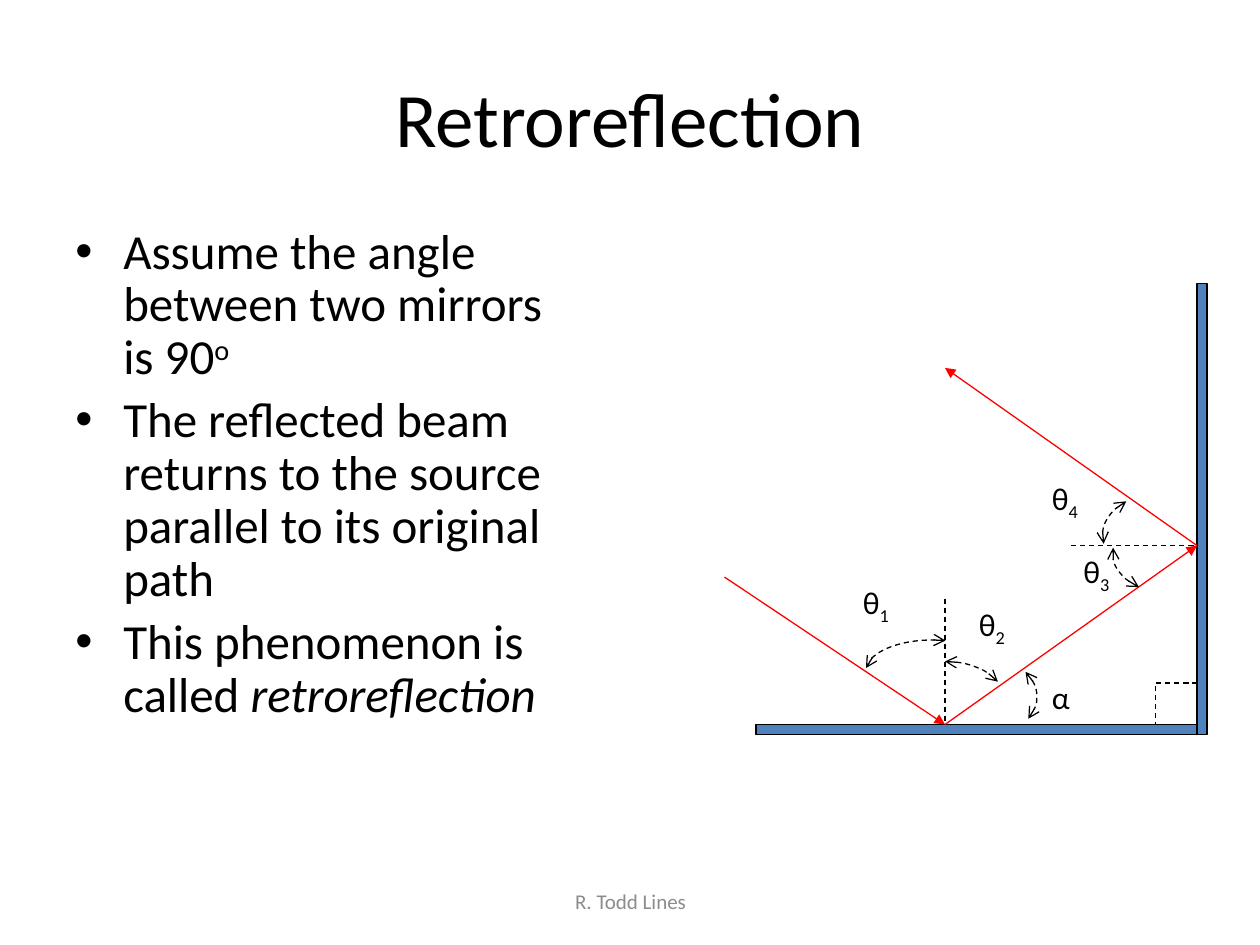
"""Build a slide on retroreflection between two perpendicular mirrors."""
from lxml import etree
from pptx import Presentation
from pptx import util as u
from pptx.dml.color import RGBColor
from pptx.enum import dml, shapes, text
from pptx.oxml.ns import qn

BLACK = RGBColor(0x00, 0x00, 0x00)
GRAY = RGBColor(0x8C, 0x8C, 0x8C)
RED = RGBColor(0xFF, 0x00, 0x00)
BLUE = RGBColor(0x4F, 0x81, 0xBD)
SUPERSCRIPT, SUBSCRIPT = 30000, -25000
INDENT = 0.38


class SlideBuilder:
    """Hold the shared style and the slide being drawn."""

    font = "Calibri"
    line_width = u.Pt(0.75)

    def __init__(self, slide):
        self.slide = slide

    def apply(self, target, formats):
        for name, value in formats.items():
            setattr(target, name, value)

    def lengths(self, *values):
        return [u.Inches(value) for value in values]

    def add_runs(self, paragraph, runs, size, color=BLACK):
        for content, formats in runs:
            run = paragraph.add_run()
            run.text = content
            formats = dict(formats)
            baseline = formats.pop("baseline", None)
            self.apply(run.font, {"name": self.font, "size": u.Pt(size), **formats})
            run.font.color.rgb = color
            if baseline:
                run._r.get_or_add_rPr().set("baseline", str(baseline))

    def title(self, content, box, size):
        shape = self.slide.shapes.title
        self.apply(shape, dict(zip(("left", "top", "width", "height"), self.lengths(*box))))
        shape.text_frame.vertical_anchor = text.MSO_ANCHOR.MIDDLE
        paragraph = shape.text_frame.paragraphs[0]
        paragraph.alignment = text.PP_ALIGN.CENTER
        self.add_runs(paragraph, [(content, {})], size)

    def text_box(self, box, **formats):
        frame = self.slide.shapes.add_textbox(*self.lengths(*box)).text_frame
        self.apply(frame, {"word_wrap": True, **formats})
        return frame

    def footer(self, content, box):
        frame = self.text_box(box, vertical_anchor=text.MSO_ANCHOR.MIDDLE)
        paragraph = frame.paragraphs[0]
        paragraph.alignment = text.PP_ALIGN.CENTER
        self.add_runs(paragraph, [(content, {})], 12, GRAY)

    def bullets(self, items, box, size):
        frame = self.text_box(box)
        for index, runs in enumerate(items):
            paragraph = frame.add_paragraph() if index else frame.paragraphs[0]
            properties = paragraph._p.get_or_add_pPr()
            properties.set("marL", str(u.Inches(INDENT)))
            properties.set("indent", str(-u.Inches(INDENT)))
            etree.SubElement(properties, qn("a:buFont"), typeface="Arial")
            etree.SubElement(properties, qn("a:buChar"), char="•")
            paragraph.line_spacing = 0.9
            if index:
                paragraph.space_before = u.Pt(0.2 * size)
            self.add_runs(paragraph, runs, size)

    def label(self, left, top, symbol, subscript="", width=0.42):
        frame = self.text_box((left, top, width, 0.4), word_wrap=False,
                              auto_size=text.MSO_AUTO_SIZE.SHAPE_TO_FIT_TEXT)
        runs = [(symbol, {})]
        if subscript:
            runs.append((subscript, {"baseline": SUBSCRIPT}))
        self.add_runs(frame.paragraphs[0], runs, 18)

    def outline(self, line, color=BLACK, dashed=False, **arrowheads):
        line.color.rgb = color
        line.width = self.line_width
        if dashed:
            line.dash_style = dml.MSO_LINE.DASH
        for end, kind in arrowheads.items():
            etree.SubElement(line._get_or_add_ln(), qn(f"a:{end}"), type=kind)

    def shape(self, kind, box, fill=None, **line_formats):
        shape = self.slide.shapes.add_shape(kind, *self.lengths(*box))
        shape.shadow.inherit = False
        if fill is None:
            shape.fill.background()
        else:
            shape.fill.solid()
            shape.fill.fore_color.rgb = fill
        self.outline(shape.line, **line_formats)
        return shape

    def rectangle(self, box, **formats):
        self.shape(shapes.MSO_SHAPE.RECTANGLE, box, **formats)

    def angle_arc(self, center, radii, start, end):
        (x, y), (rx, ry) = center, radii
        arc = self.shape(shapes.MSO_SHAPE.ARC, (x - rx, y - ry, 2 * rx, 2 * ry),
                         dashed=True, headEnd="arrow", tailEnd="arrow")
        for index, degrees in enumerate((start, end)):
            arc.adjustments[index] = degrees * 0.6

    def line(self, start, end, **line_formats):
        connector = self.slide.shapes.add_connector(
            shapes.MSO_CONNECTOR.STRAIGHT, *self.lengths(*start, *end))
        self.outline(connector.line, **line_formats)
        etree.SubElement(connector._element.spPr, qn("a:effectLst"))


def main():
    presentation = Presentation()
    presentation.slide_width, presentation.slide_height = u.Inches(10), u.Inches(7.5)
    builder = SlideBuilder(presentation.slides.add_slide(presentation.slide_layouts[5]))

    builder.footer("R. Todd Lines", (3.42, 6.95, 3.17, 0.4))
    builder.title("Retroreflection", (0.5, 0.3, 9, 1.25), 44)
    builder.bullets([
        [("Assume the angle between two mirrors is 90", {}), ("o", {"baseline": SUPERSCRIPT})],
        [("The reflected beam returns to the source parallel to its original path", {})],
        [("This phenomenon is called ", {}), ("retroreflection", {"italic": True})],
    ], (0.5, 1.75, 4.08, 4.95), 28)

    builder.rectangle((9.17, 5.42, 0.33, 0.33), dashed=True)
    for mirror in ((9.5, 2.25, 0.08, 3.58), (6, 5.75, 3.5, 0.08)):
        builder.rectangle(mirror, fill=BLUE)

    first_hit, second_hit = (7.5, 5.75), (9.5, 4.33)
    for normal_end, hit in (((7.5, 4.75), first_hit), ((8.5, 4.33), second_hit)):
        builder.line(normal_end, hit, dashed=True)
    beam = [(5.75, 4.58), first_hit, second_hit, (7.5, 2.92)]
    for start, end in zip(beam, beam[1:]):
        builder.line(start, end, color=RED, tailEnd="triangle")

    theta_places = [(6.75, 4.58), (7.67, 4.75), (8.5, 4.33), (8.25, 3.75)]
    for number, (left, top) in enumerate(theta_places, start=1):
        builder.label(left, top, "θ", str(number))
    builder.label(8.25, 5.33, "α", width=0.36)

    for center, radii, start, end in (
        ((7.5, 5.58), (0.49, 0.33), 270, 338),
        ((7.4, 5.33), (0.53, 0.25), 183, 293),
        ((9.32, 4.39), (0.49, 0.33), 136, 185),
        ((9.23, 4.25), (0.48, 0.34), 172, 223),
        ((7.75, 5.53), (0.48, 0.34), 333, 23),
    ):
        builder.angle_arc(center, radii, start, end)

    presentation.save("out.pptx")


if __name__ == "__main__":
    main()
